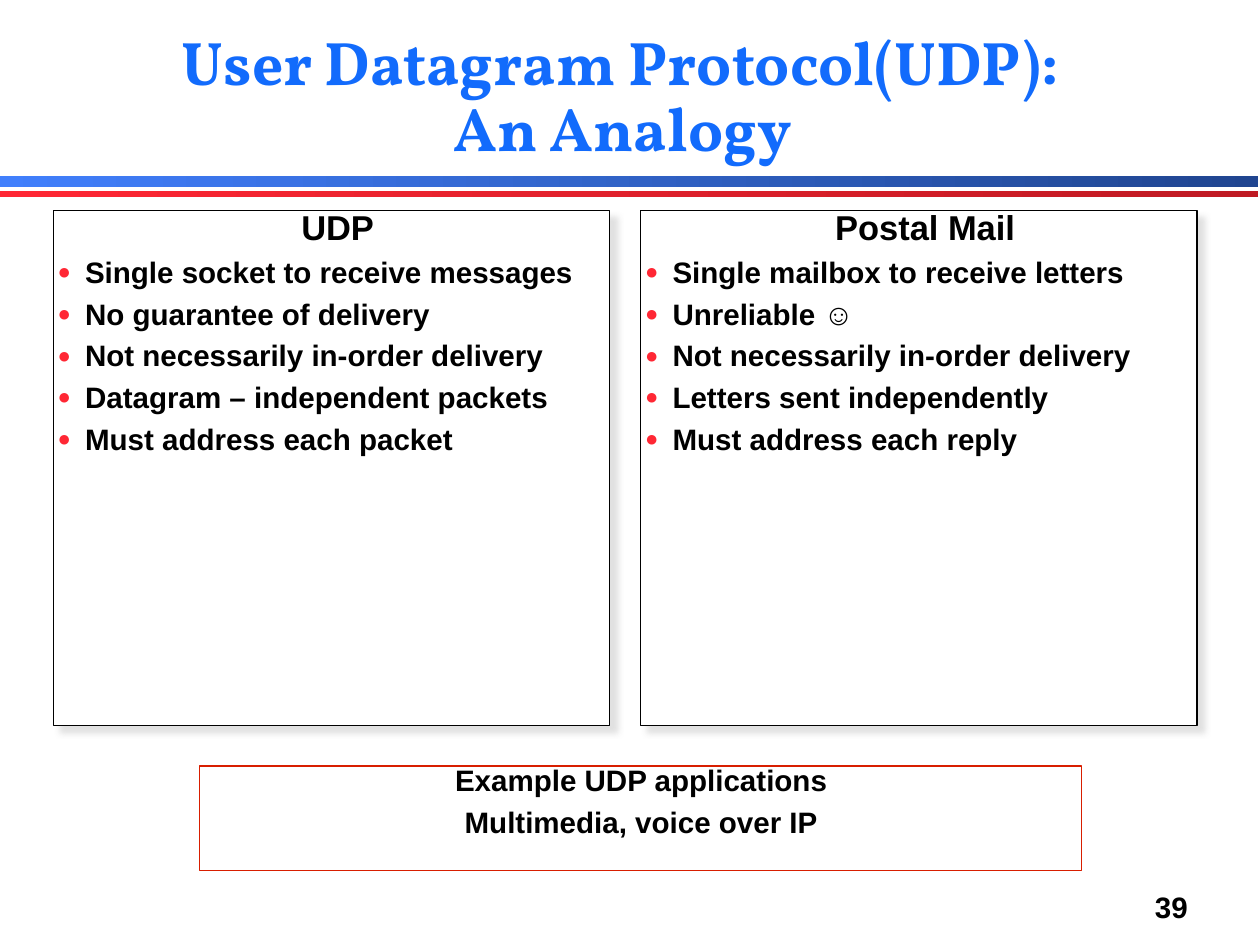
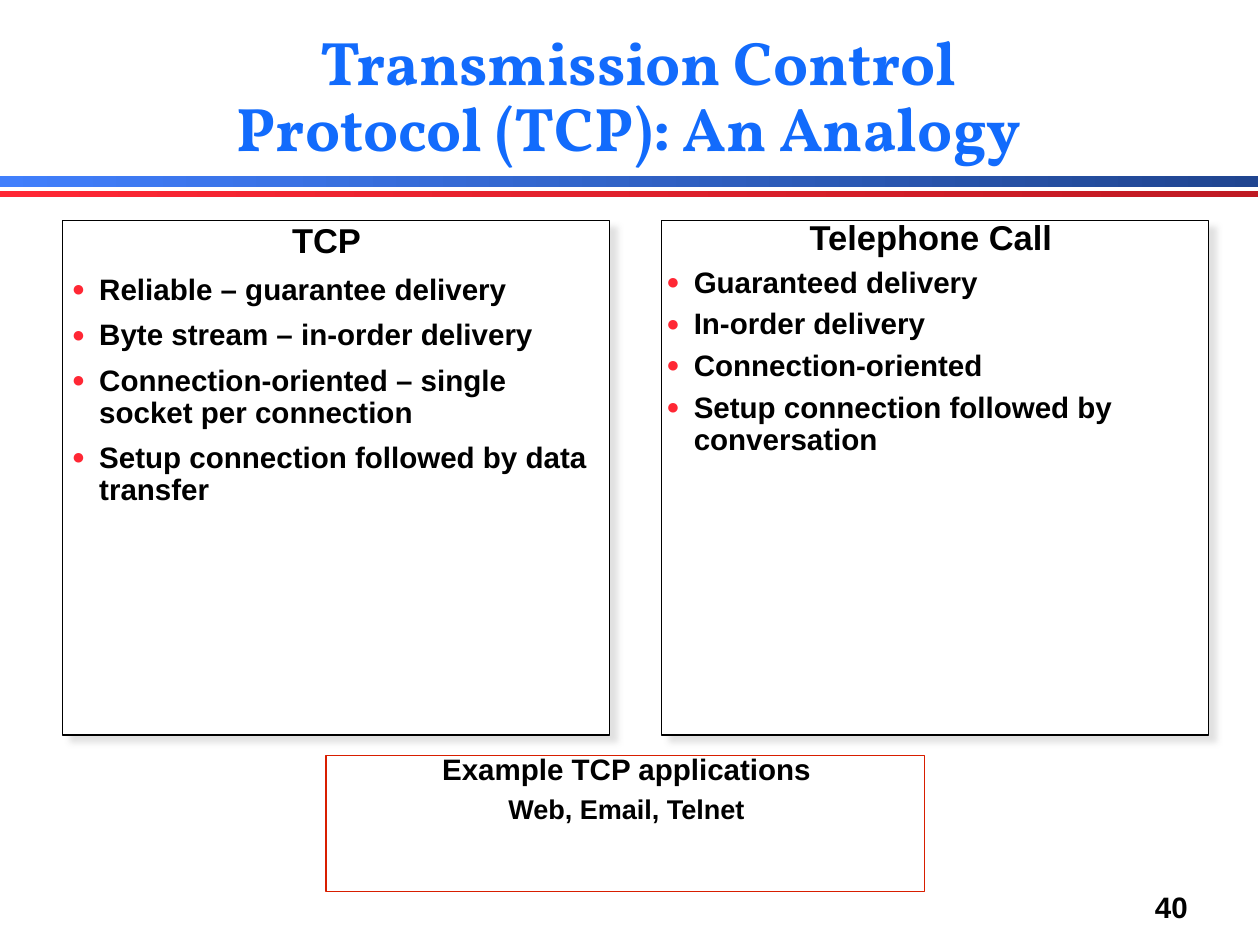
from pptx import Presentation
from pptx.dml.color import RGBColor
from pptx.enum.shapes import MSO_SHAPE
from pptx.enum.text import MSO_ANCHOR, MSO_AUTO_SIZE, PP_ALIGN
from pptx.oxml import parse_xml
from pptx.oxml.ns import nsdecls
from pptx.util import Pt

PX = 9144  # 100 px to the inch
SLIDE_WIDTH, SLIDE_HEIGHT = 1422, 1067

COLORS = {
    "title": "126BFC", "text": "000000", "paper": "FFFFFF", "bullet": "FF2734",
    "example": "D81E00", "shadow": "D7D7D7",
}
BANDS = [  # top, height, gradient colours
    (199, 12, ("417FFC", "204590")),
    (216, 6, ("FF2734", "BF1A23")),
]
BODY_FONT, TITLE_FONT = "Arial", "Vollkorn"

# Paragraph styles: lengths in px, space before in points
PANEL = {"inset": 0, "grow": True, "right": 6,
         "heading": (44, -38, 9), "item": (36, -31, 8)}
WIDE_PANEL = {"inset": 4, "grow": False, "right": 17,
              "heading": (44, -36, 11), "item": (37, -31, 11)}

# Content; a bar in an item starts a part that is not bold
SLIDES = [
    {
        "number": "39",
        "title": "User Datagram Protocol(UDP): \nAn Analogy",
        "title_box": (155, 0, 1113, 190),
        "panel_size": (628, 581), "panel_top": 238,
        "panels": [
            {"left": 60, "text_size": (642, 274), "style": PANEL, "heading": "UDP",
             "items": ["Single socket to receive messages",
                       "No guarantee of delivery",
                       "Not necessarily in-order delivery",
                       "Datagram – independent packets",
                       "Must address each packet"]},
            {"left": 723, "text_size": (642, 275), "style": PANEL, "heading": "Postal Mail",
             "items": ["Single mailbox to receive letters",
                       "Unreliable |☺",
                       "Not necessarily in-order delivery",
                       "Letters sent independently",
                       "Must address each reply"]},
        ],
        "example_box": (225, 865, 996, 118), "example_text": (997, 84),
        "example": [("Example UDP applications", 24, 8),
                    ("Multimedia, voice over IP", 24, 8)],
    },
    {
        "number": "40",
        "title": "Transmission Control Protocol (TCP): An Analogy ",
        "title_box": (254, 0, 942, 190),
        "panel_size": (617, 581), "panel_top": 249,
        "panels": [
            {"left": 71, "text_size": (604, 818), "style": WIDE_PANEL, "heading": "TCP",
             "items": ["Reliable – guarantee delivery",
                       "Byte stream – in-order delivery",
                       "Connection-oriented – single socket per connection",
                       "Setup connection followed by data transfer"]},
            {"left": 747, "text_size": (607, 263), "style": PANEL, "heading": "Telephone Call",
             "items": ["Guaranteed delivery",
                       "In-order delivery",
                       "Connection-oriented",
                       "Setup connection followed by conversation"]},
        ],
        "example_box": (368, 853, 675, 154), "example_text": (678, 80),
        "example": [("Example TCP applications", 24, 8),
                    ("Web, Email, Telnet", 22, 7)],
    },
]


def rgb(name):
    return RGBColor.from_string(COLORS[name])


def add_rectangle(slide, box, line=None):
    shape = slide.shapes.add_shape(MSO_SHAPE.RECTANGLE, *(value * PX for value in box))
    shape.shadow.inherit = False
    if line:
        shape.line.color.rgb = rgb(line)
        shape.line.width = Pt(1)
    else:
        shape.line.fill.background()
    return shape


def add_text_box(slide, box, inset=0, wrap=True, grow=False):
    text_box = slide.shapes.add_textbox(*(value * PX for value in box))
    frame = text_box.text_frame
    frame.word_wrap = wrap
    frame.auto_size = MSO_AUTO_SIZE.SHAPE_TO_FIT_TEXT if grow else MSO_AUTO_SIZE.NONE
    frame.margin_left = frame.margin_right = inset * PX
    frame.margin_top = frame.margin_bottom = inset * PX
    return frame


def add_paragraph(frame, text, size, indent=(0, 0, 0), right=0, spacing=0.9,
                  bullet=False, font=BODY_FONT, color="text"):
    first = frame.paragraphs[0]
    paragraph = frame.add_paragraph() if first.runs else first
    parts = text.split("|")
    paragraph.text = parts[0]
    for part in parts[1:]:
        paragraph.add_run().text = part
    plain_runs = len(parts) - 1
    bold_runs = len(paragraph.runs) - plain_runs
    for index, run in enumerate(paragraph.runs):
        run.font.size, run.font.name = Pt(size), font
        run.font.bold = index < bold_runs
        run.font.color.rgb = rgb(color)

    margin, first_line, space_before = indent
    paragraph.alignment = PP_ALIGN.LEFT if bullet else PP_ALIGN.CENTER
    paragraph.line_spacing = spacing
    paragraph.space_before = Pt(space_before)
    properties = paragraph._p.get_or_add_pPr()
    for name, value in (("marL", margin), ("marR", right), ("indent", first_line)):
        properties.set(name, str(value * PX))
    if bullet:
        for xml in (
            f'<a:buClr {nsdecls("a")}><a:srgbClr val="{COLORS["bullet"]}"/></a:buClr>',
            f'<a:buSzPct {nsdecls("a")} val="75000"/>',
            f'<a:buFont {nsdecls("a")} typeface="{BODY_FONT}"/>',
            f'<a:buChar {nsdecls("a")} char="●"/>',
        ):
            properties.append(parse_xml(xml))


def add_frame(slide, number, title, title_box):
    """Slide number, bands and title, the same on every slide."""
    frame = add_text_box(slide, (1297, 998, 50, 49), inset=6, wrap=False, grow=True)
    add_paragraph(frame, number, 24, spacing=1.0)

    for top, height, colors in BANDS:
        band = add_rectangle(slide, (0, top, 1420, height))
        band.fill.gradient()
        band.fill.gradient_angle = 0
        for position, (stop, color) in enumerate(zip(band.fill.gradient_stops, colors)):
            stop.position = position
            stop.color.rgb = RGBColor.from_string(color)

    frame = add_text_box(slide, title_box, inset=4)
    frame.vertical_anchor = MSO_ANCHOR.BOTTOM
    add_paragraph(frame, title, 50, indent=(0, 8, 0), right=17, spacing=0.89,
                  font=TITLE_FONT, color="title")


def add_panel(slide, top, size, panel):
    card = add_rectangle(slide, (panel["left"], top, *size), line="text")
    card.fill.solid()
    card.fill.fore_color.rgb = rgb("paper")
    effects = card._element.spPr.find(
        "{http://schemas.openxmlformats.org/drawingml/2006/main}effectLst")
    effects.append(parse_xml(
        f'<a:outerShdw {nsdecls("a")} blurRad="{Pt(5)}" dist="{Pt(8)}" dir="2700000" '
        f'algn="tl" rotWithShape="0"><a:srgbClr val="{COLORS["shadow"]}">'
        '<a:alpha val="75000"/></a:srgbClr></a:outerShdw>'))

    style = panel["style"]
    frame = add_text_box(slide, (panel["left"], top, *panel["text_size"]),
                         inset=style["inset"], grow=style["grow"])
    add_paragraph(frame, panel["heading"], 28, style["heading"], style["right"])
    for item in panel["items"]:
        add_paragraph(frame, item, 24, style["item"], bullet=True)


def add_example(slide, box, text_size, lines):
    add_rectangle(slide, box, line="example").fill.background()
    frame = add_text_box(slide, (*box[:2], *text_size), grow=True)
    for text, size, space_before in lines:
        add_paragraph(frame, text, size, (44, -38, space_before), right=6)


def main():
    presentation = Presentation()
    presentation.slide_width = SLIDE_WIDTH * PX
    presentation.slide_height = SLIDE_HEIGHT * PX
    for content in SLIDES:
        slide = presentation.slides.add_slide(presentation.slide_layouts[6])
        add_frame(slide, content["number"], content["title"], content["title_box"])
        for panel in content["panels"]:
            add_panel(slide, content["panel_top"], content["panel_size"], panel)
        add_example(slide, content["example_box"], content["example_text"],
                    content["example"])
    presentation.save("out.pptx")


if __name__ == "__main__":
    main()
